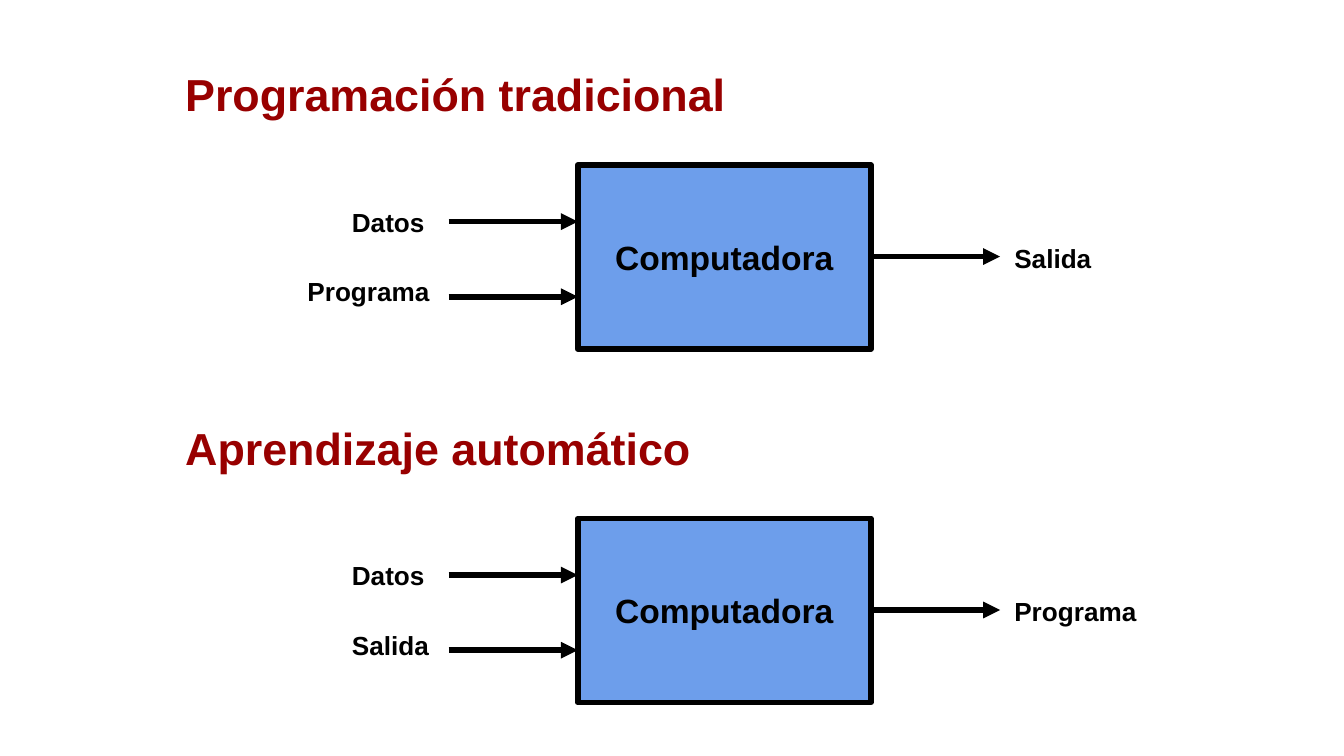
from lxml.etree import SubElement
from pptx import Presentation
from pptx.dml.color import RGBColor
from pptx.enum.shapes import MSO_CONNECTOR, MSO_SHAPE
from pptx.enum.text import MSO_ANCHOR, MSO_AUTO_SIZE, PP_ALIGN
from pptx.oxml.ns import qn
from pptx.util import Cm, Pt

COLORS = {"heading": "980000", "box": "6D9EEB", "ink": "000000"}
FONT = "Arial"
PANEL_TOPS = (1.02, 7.7)

# Horizontal positions and sizes in centimetres
BOX_LEFT, BOX_WIDTH, BOX_HEIGHT = 10.92, 5.54, 3.48
BOX_RIGHT = BOX_LEFT + BOX_WIDTH
ARROW_LENGTH = 2.44
INPUT_RIGHT, OUTPUT_LEFT = 8.46, 18.92
LABEL_HEIGHT = 1.32
LABEL_WIDTHS = {"Datos": 2.06, "Salida": 2.06, "Programa": 2.9}


class Diagram:
    """Holds the text style and the slide being drawn."""

    def __init__(self, slide):
        self.slide = slide

    def color(self, name):
        return RGBColor.from_string(COLORS[name])

    def set_text(self, shape, text, size, color="ink", align=PP_ALIGN.LEFT,
                 anchor=MSO_ANCHOR.MIDDLE):
        frame = shape.text_frame
        frame.text = text
        frame.word_wrap = True
        frame.auto_size = MSO_AUTO_SIZE.NONE
        frame.vertical_anchor = anchor
        frame.margin_left = frame.margin_right = Cm(0.25)
        frame.margin_top = frame.margin_bottom = Cm(0.25)
        para = frame.paragraphs[0]
        para.alignment = align
        font = para.runs[0].font
        font.name, font.size, font.bold = FONT, Pt(size), True
        font.color.rgb = self.color(color)

    def text_box(self, left, top, width, height):
        return self.slide.shapes.add_textbox(
            Cm(left), Cm(top), Cm(width), Cm(height))

    def heading(self, text, top):
        """Fill the title placeholder first, then add text boxes."""
        box = self.slide.shapes.title
        if box.text_frame.text:
            box = self.text_box(3.25, top, 14.2, 1.65)
        else:
            box.left, box.top = Cm(3.25), Cm(top)
            box.width, box.height = Cm(14.2), Cm(1.65)
        self.set_text(box, text, 24, "heading", anchor=MSO_ANCHOR.TOP)

    def computer(self, top):
        box = self.slide.shapes.add_shape(
            MSO_SHAPE.RECTANGLE, Cm(BOX_LEFT), Cm(top),
            Cm(BOX_WIDTH), Cm(BOX_HEIGHT))
        box.shadow.inherit = False
        box.fill.solid()
        box.fill.fore_color.rgb = self.color("box")
        box.line.color.rgb = self.color("ink")
        box.line.width = Pt(3)
        self.set_text(box, "Computadora", 18, align=PP_ALIGN.CENTER)

    def arrow(self, left, top):
        arrow = self.slide.shapes.add_connector(
            MSO_CONNECTOR.STRAIGHT, Cm(left), Cm(top),
            Cm(left + ARROW_LENGTH), Cm(top))
        arrow.line.color.rgb = self.color("ink")
        arrow.line.width = Pt(3)
        properties = arrow.element.spPr
        SubElement(properties.find(qn("a:ln")), qn("a:tailEnd"), type="triangle")
        SubElement(properties, qn("a:effectLst"))

    def input_label(self, text, top):
        width = LABEL_WIDTHS[text]
        box = self.text_box(INPUT_RIGHT - width, top, width, LABEL_HEIGHT)
        self.set_text(box, text, 14)

    def output_label(self, text, top):
        box = self.text_box(OUTPUT_LEFT, top, 3.23, LABEL_HEIGHT)
        self.set_text(box, text, 14)

    def panel(self, top, heading, inputs, output):
        self.heading(heading, top)
        self.computer(top + 2.1)
        self.arrow(BOX_RIGHT, top + 3.83)
        self.output_label(output, top + 3.2)
        for text, label_top, arrow_top in zip(inputs, (2.51, 3.83), (3.17, 4.59)):
            self.arrow(BOX_LEFT - ARROW_LENGTH, top + arrow_top)
            self.input_label(text, top + label_top)


def main():
    deck = Presentation()
    deck.slide_width, deck.slide_height = Cm(25.4), Cm(14.29)
    title_only = deck.slide_layouts[5]
    diagram = Diagram(deck.slides.add_slide(title_only))
    panels = (
        ("Programación tradicional", ("Datos", "Programa"), "Salida"),
        ("Aprendizaje automático", ("Datos", "Salida"), "Programa"),
    )
    for top, (heading, inputs, output) in zip(PANEL_TOPS, panels):
        diagram.panel(top, heading, inputs, output)
    deck.save("out.pptx")


if __name__ == "__main__":
    main()
